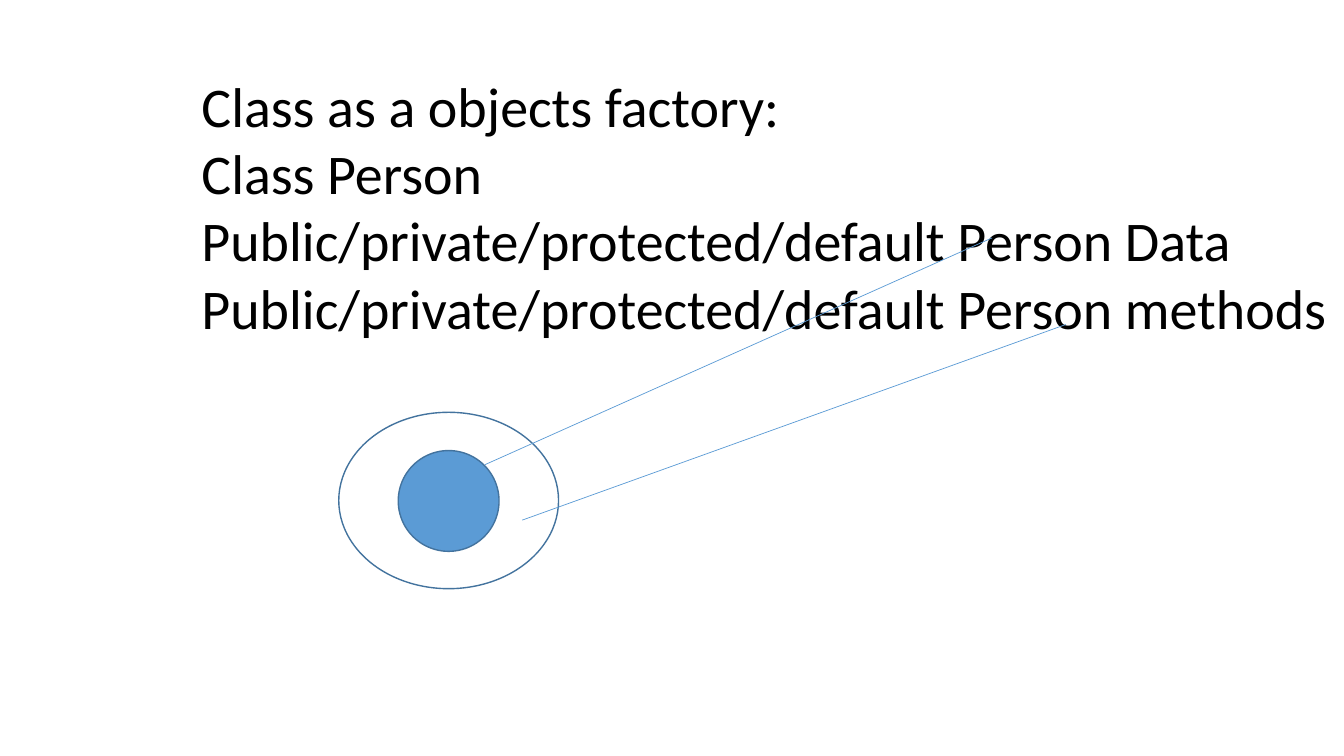
from pptx import Presentation
from pptx.dml.color import RGBColor
from pptx.enum.shapes import MSO_CONNECTOR, MSO_SHAPE
from pptx.enum.text import MSO_AUTO_SIZE
from pptx.oxml.ns import qn
from pptx.util import Emu, Pt
from lxml import etree

ELLIPSE = MSO_SHAPE.OVAL
STRAIGHT = MSO_CONNECTOR.STRAIGHT
FIT_SHAPE = MSO_AUTO_SIZE.SHAPE_TO_FIT_TEXT
BLANK_LAYOUT = 6
EMU_PER_PX = 9144


def px(*lengths):
    return [Emu(n * EMU_PER_PX) for n in lengths]


def color(value):
    return RGBColor.from_string(value)


def add_text(p, text, font="Calibri", size=40, fill="000000"):
    r = p.add_run()
    r.text = text
    r.font.name = font
    r.font.size = Pt(size)
    r.font.color.rgb = color(fill)


class Deck:
    blue = "5B9BD5"
    outline = "43739E"

    def __init__(self, width, height):
        self.prs = Presentation()
        self.prs.slide_width, self.prs.slide_height = px(width, height)
        self.s = self.prs.slides.add_slide(self.prs.slide_layouts[BLANK_LAYOUT])

    def text(self, box, lines, **style):
        tf = self.s.shapes.add_textbox(*px(*box)).text_frame
        tf.word_wrap = False
        tf.auto_size = FIT_SHAPE
        for i, line in enumerate(lines):
            p = tf.add_paragraph() if i else tf.paragraphs[0]
            add_text(p, line, **style)

    def ellipse(self, box, fill=None):
        sp = self.s.shapes.add_shape(ELLIPSE, *px(*box))
        sp.shadow.inherit = False
        if fill:
            sp.fill.solid()
            sp.fill.fore_color.rgb = color(fill)
        else:
            sp.fill.background()
        sp.line.color.rgb = color(self.outline)
        sp.line.width = Pt(1)

    def line(self, start, end):
        sp = self.s.shapes.add_connector(STRAIGHT, *px(*start, *end))
        sp.line.color.rgb = color(self.blue)
        sp.line.width = Pt(0.5)
        etree.SubElement(sp._element.spPr, qn("a:effectLst"))


def main():
    deck = Deck(1333, 750)
    access = "Public/private/protected/default Person"
    deck.text((190, 66, 1147, 279), [
        "Class as a objects factory:",
        "Class Person",
        f"{access} Data",
        f"{access} methods",
    ], size=40)
    deck.ellipse((395, 447, 100, 100), fill=deck.blue)
    deck.ellipse((336, 409, 218, 175))
    deck.line((481, 461), (984, 236))
    deck.line((518, 516), (1057, 322))
    deck.prs.save("out.pptx")


if __name__ == "__main__":
    main()
